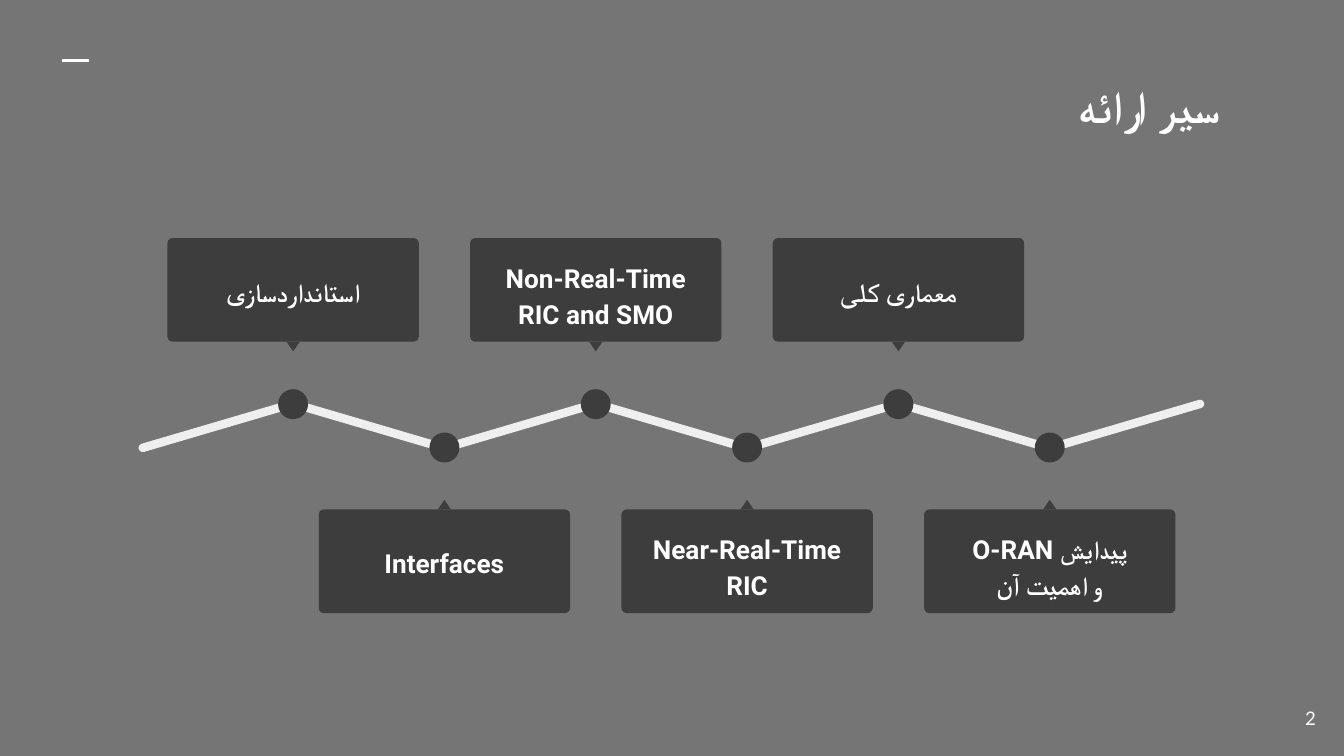
"""Build a roadmap slide with six labelled stops along a zigzag line."""
from lxml import etree
from pptx import Presentation, util as u
from pptx.dml.color import RGBColor
from pptx.enum import shapes, text
from pptx.oxml.ns import qn

TITLE = "سیر ارائه"
PAGE = "2"
STOPS = [
    ("استانداردسازی", 1),
    ("Interfaces", 1),
    ("Non-Real-Time RIC and SMO", 2),
    ("Near-Real-Time RIC", 2),
    ("معماری کلی", 1),
    ("پیدایش O-RAN\nو اهمیت آن", 2),
]

WHITE = RGBColor(0xFF, 0xFF, 0xFF)
GREY = RGBColor(0x75, 0x75, 0x75)
DARK = RGBColor(0x3D, 0x3D, 0x3D)
PALE = RGBColor(0xEF, 0xEF, 0xEF)

FIRST, STEP = 5.54, 2.86
MID, RISE, TILT = 8.05, 0.41, 16.4
CARD_W, CARD_H = 4.75, 1.96
UPPER, LOWER = 4.5, 9.63
TIP_W, TIP_H = 0.25, 0.18
TEXT_W, TEXT_H = 4.52, {1: 1.2, 2: 1.73}
DOT = 0.46
KIND = shapes.MSO_SHAPE


def shape(home, kind, x, y, wide, high, fill):
    """Add a plain filled shape centred on x and y."""
    item = home.add_shape(kind, u.Cm(x - wide / 2), u.Cm(y - high / 2), u.Cm(wide), u.Cm(high))
    item.shadow.inherit = False
    item.fill.solid()
    item.fill.fore_color.rgb = fill
    item.line.fill.background()
    return item


def write(item, words, size, face, align, anchor, bold=False, rtl=False):
    """Write one formatted paragraph into a shape."""
    frame = item.text_frame
    frame.word_wrap = True
    frame.auto_size = text.MSO_AUTO_SIZE.NONE
    frame.vertical_anchor = anchor
    frame.margin_left = frame.margin_right = u.Cm(0.25)
    frame.margin_top = frame.margin_bottom = u.Cm(0.25)
    para = frame.paragraphs[0]
    para.alignment = align
    if rtl:
        para._p.get_or_add_pPr().set("rtl", "1")
    for num, line in enumerate(words.split("\n")):
        if num:
            para.add_line_break()
        run = para.add_run()
        run.text = line
        font = run.font
        font.size, font.name, font.bold = u.Pt(size), face, bold
        font.color.rgb = WHITE
        etree.SubElement(font._element, qn("a:cs")).set("typeface", face)
    return para


def add_stop(slide, num, words, lines):
    """Add a dot, a card, its tip and its label as one group."""
    home = slide.shapes.add_group_shape().shapes
    x = FIRST + num * STEP
    above = num % 2 == 0
    mid = (UPPER if above else LOWER) + CARD_H / 2
    side = 1 if above else -1
    dot = shape(home, KIND.OVAL, x, MID - side * RISE, DOT, DOT, DARK)
    dot.line.color.rgb = DARK
    dot.line.width = u.Pt(3)
    card = shape(home, KIND.ROUNDED_RECTANGLE, x, mid, CARD_W, CARD_H, DARK)
    card.adjustments[0] = 0.05
    tip_y = mid + side * (CARD_H + TIP_H) / 2
    tip = shape(home, KIND.ISOSCELES_TRIANGLE, x, tip_y, TIP_W, TIP_H, DARK)
    tip.rotation = 180 if above else 0
    label = shape(home, KIND.RECTANGLE, x, mid, TEXT_W, TEXT_H[lines], DARK)
    para = write(label, words, 14, "Roboto", text.PP_ALIGN.CENTER,
                 text.MSO_ANCHOR.TOP, bold=True, rtl=True)
    para.line_spacing = 1.15
    para.space_after = u.Pt(16)


def main():
    """Create and save the deck."""
    deck = Presentation()
    deck.slide_width, deck.slide_height = u.Cm(25.4), u.Cm(14.29)
    slide = deck.slides.add_slide(deck.slide_layouts[5])
    back = slide.background.fill
    back.solid()
    back.fore_color.rgb = GREY

    dash = slide.shapes.add_connector(
        shapes.MSO_CONNECTOR.STRAIGHT, u.Cm(1.18), u.Cm(1.15), u.Cm(1.69), u.Cm(1.15))
    dash.line.color.rgb = WHITE
    dash.line.width = u.Pt(1.5)
    etree.SubElement(dash._element.spPr, qn("a:effectLst"))

    title = slide.shapes.title
    title.left, title.top = u.Cm(19.35), u.Cm(0.97)
    title.width, title.height = u.Cm(4.75), u.Cm(2.03)
    write(title, TITLE, 24.2, "Roboto", text.PP_ALIGN.CENTER,
          text.MSO_ANCHOR.MIDDLE, bold=True, rtl=True)

    for num in range(len(STOPS) + 1):
        x = FIRST + (num - 0.5) * STEP
        bar = shape(slide.shapes, KIND.ROUNDED_RECTANGLE, x, MID, 3.1, 0.16, PALE)
        bar.adjustments[0] = 0.5
        bar.rotation = TILT if num % 2 else -TILT

    for num, (words, lines) in enumerate(STOPS):
        add_stop(slide, num, words, lines)

    page = slide.shapes.add_textbox(u.Cm(23.6), u.Cm(13.03), u.Cm(1.52), u.Cm(1.09))
    write(page, PAGE, 10, "Lato", text.PP_ALIGN.RIGHT, text.MSO_ANCHOR.MIDDLE)
    deck.save("out.pptx")


if __name__ == "__main__":
    main()
